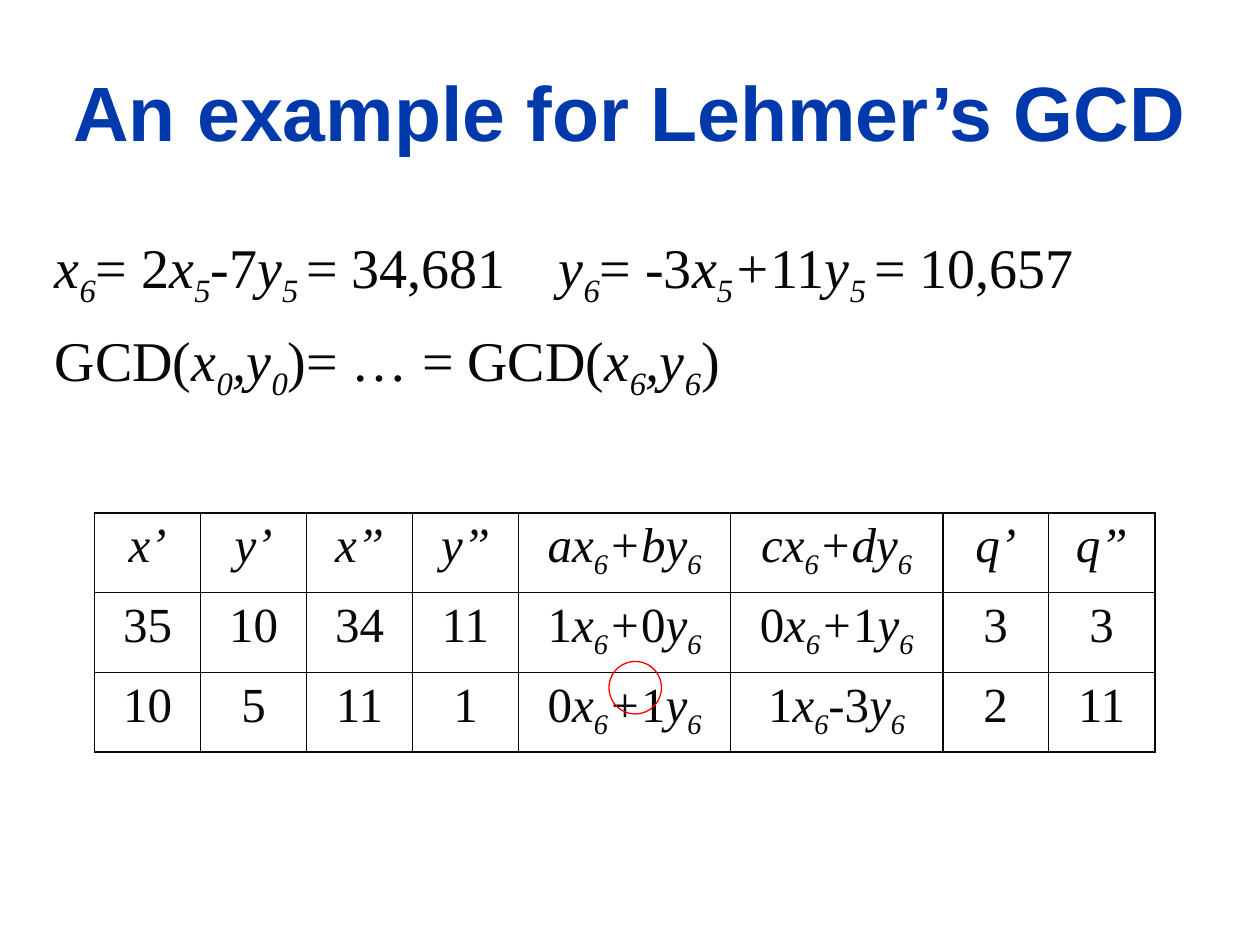
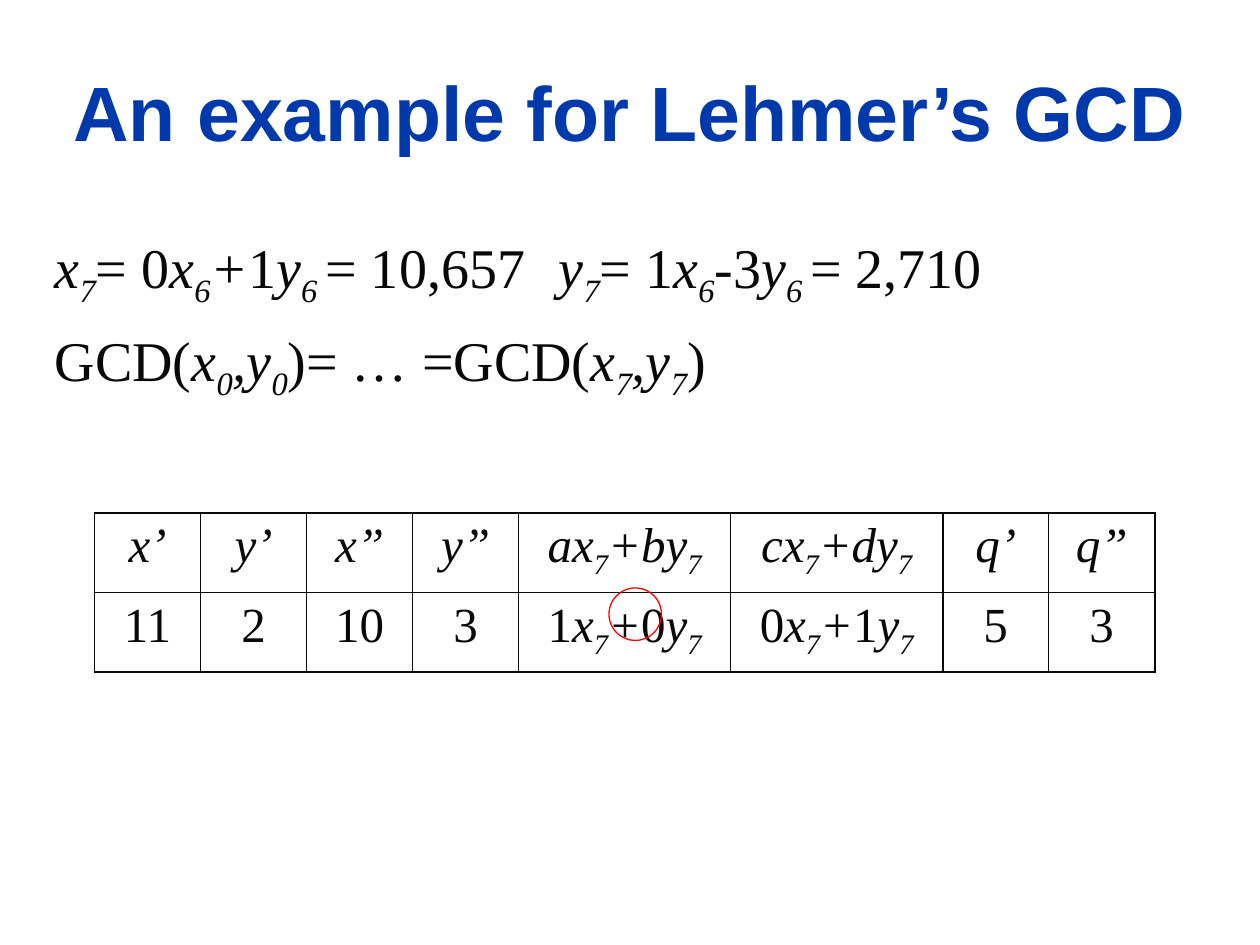
from lxml import etree
from pptx import Presentation
from pptx.dml.color import RGBColor
from pptx.enum import shapes, text
from pptx.oxml.ns import qn
from pptx.util import Pt

INK, TITLE_BLUE, RING_RED = "080808", "0039AC", "FF0000"
SERIF, SANS = "Times New Roman", "Arial"
TITLE = "An example for Lehmer’s GCD"
UNIT = 60.6
COLUMN_UNITS = [1, 1, 1, 1, 2, 2, 1, 1]
ROW_HEIGHT = 45.6
THICK, THIN = 1.08, 0.45


def colour(value):
    return RGBColor.from_string(value)


def place(shape, left, top, width, height):
    shape.left, shape.top = Pt(left), Pt(top)
    shape.width, shape.height = Pt(width), Pt(height)


def write(paragraph, content, size, font=SERIF, ink=INK, bold=False,
          align=text.PP_ALIGN.LEFT, before=0):
    """Split at |; a leading / marks italic and a leading _ an italic subscript."""
    paragraph.alignment = align
    paragraph.space_before = Pt(before)
    for part in content.split("|"):
        mark = part[0] if part[0] in "/_" else ""
        run = paragraph.add_run()
        run.text = part[len(mark):]
        run.font.size, run.font.name = Pt(size), font
        run.font.bold, run.font.italic = bold, bool(mark)
        run.font.color.rgb = colour(ink)
        if mark == "_":
            run.font._element.set("baseline", "-25000")


def add_title(slide):
    title = slide.shapes.title
    place(title, 24, 18, 672, 90)
    title.text_frame.auto_size = text.MSO_AUTO_SIZE.NONE
    title.text_frame.vertical_anchor = text.MSO_ANCHOR.MIDDLE
    write(title.text_frame.paragraphs[0], TITLE, 44, font=SANS, ink=TITLE_BLUE,
          bold=True, align=text.PP_ALIGN.CENTER)


def add_equations(slide, lines, second_equation):
    body = slide.placeholders[1]
    place(body, 24, 126, 672, 354)
    frame = body.text_frame
    frame.auto_size = text.MSO_AUTO_SIZE.NONE
    frame.margin_top = Pt(7)
    for index, line in enumerate(lines):
        paragraph = frame.add_paragraph() if index else frame.paragraphs[0]
        properties = paragraph._p.get_or_add_pPr()
        properties.set("marL", "0")
        properties.set("indent", "0")
        etree.SubElement(properties, qn("a:buNone"))
        if "\t" in line:
            stops = etree.SubElement(properties, qn("a:tabLst"))
            etree.SubElement(stops, qn("a:tab"), pos=str(Pt(second_equation)), algn="l")
        write(paragraph, line, 32, before=9.5 if index else 0)


def set_borders(cell, **widths):
    properties = cell._tc.get_or_add_tcPr()
    for side, width in widths.items():
        border = etree.SubElement(properties, qn(f"a:ln{side}"), w=str(Pt(width)))
        fill = etree.SubElement(border, qn("a:solidFill"))
        etree.SubElement(fill, qn("a:srgbClr"), val=INK)


def add_quotients(slide, rows):
    table = slide.shapes.add_table(
        len(rows), len(COLUMN_UNITS), Pt(54), Pt(293), Pt(UNIT * sum(COLUMN_UNITS)),
        Pt(ROW_HEIGHT * len(rows))).table
    table.first_row = table.horz_banding = False
    for column, units in zip(table.columns, COLUMN_UNITS):
        column.width = Pt(UNIT * units)
    for r, row in enumerate(rows):
        table.rows[r].height = Pt(ROW_HEIGHT)
        for c, content in enumerate(row):
            cell = table.cell(r, c)
            write(cell.text_frame.paragraphs[0], content, 28,
                  align=text.PP_ALIGN.CENTER)
            set_borders(cell,
                        L=THIN if c % 2 else THICK,
                        R=THICK if c % 2 else THIN,
                        T=THIN if r else THICK,
                        B=THICK if r == len(rows) - 1 else THIN)
            cell.fill.background()


def add_ring(slide, top):
    ring = slide.shapes.add_shape(shapes.MSO_SHAPE.OVAL, Pt(348), Pt(top), Pt(30), Pt(30))
    ring.shadow.inherit = False
    ring.fill.background()
    ring.line.color.rgb = colour(RING_RED)
    ring.line.width = Pt(0.75)


def combination(step, x, sign, y):
    return f"{x}|/x|_{step}|{sign}|{y}|/y|_{step}"


def header(step):
    return ["/x’", "/y’", "/x”", "/y”", f"/ax|_{step}|/+by|_{step}",
            f"/cx|_{step}|/+dy|_{step}", "/q’", "/q”"]


def add_step(deck, lines, second_equation, rows, ring_top):
    slide = deck.slides.add_slide(deck.slide_layouts[1])
    add_title(slide)
    add_equations(slide, lines, second_equation)
    add_quotients(slide, rows)
    add_ring(slide, ring_top)


def main():
    deck = Presentation()
    deck.slide_width, deck.slide_height = Pt(720), Pt(540)
    add_step(
        deck,
        ["/x|_6|= 2|/x|_5|/-|7|/y|_5 |= 34,681\t|/y|_6|= -3|/x|_5|/+|11|/y|_5 |= 10,657",
         "GCD(|/x|_0|/,y|_0|)= … = GCD(|/x|_6|/,y|_6|)"],
        281,
        [header(6),
         ["35", "10", "34", "11", combination(6, 1, "/+", 0),
          combination(6, 0, "/+", 1), "3", "3"],
         ["10", "5", "11", "1", combination(6, 0, "/+", 1),
          combination(6, 1, "-", 3), "2", "11"]],
        378)
    add_step(
        deck,
        ["/x|_7|= 0|/x|_6|/+|1|/y|_6 |= 10,657\t|/y|_7|= 1|/x|_6|-3|/y|_6 |= 2,710",
         "GCD(|/x|_0|/,y|_0|)= … =GCD(|/x|_7|/,y|_7|)"],
        292,
        [header(7),
         ["11", "2", "10", "3", combination(7, 1, "/+", 0),
          combination(7, 0, "/+", 1), "5", "3"]],
        336)
    deck.save("out.pptx")


if __name__ == "__main__":
    main()
